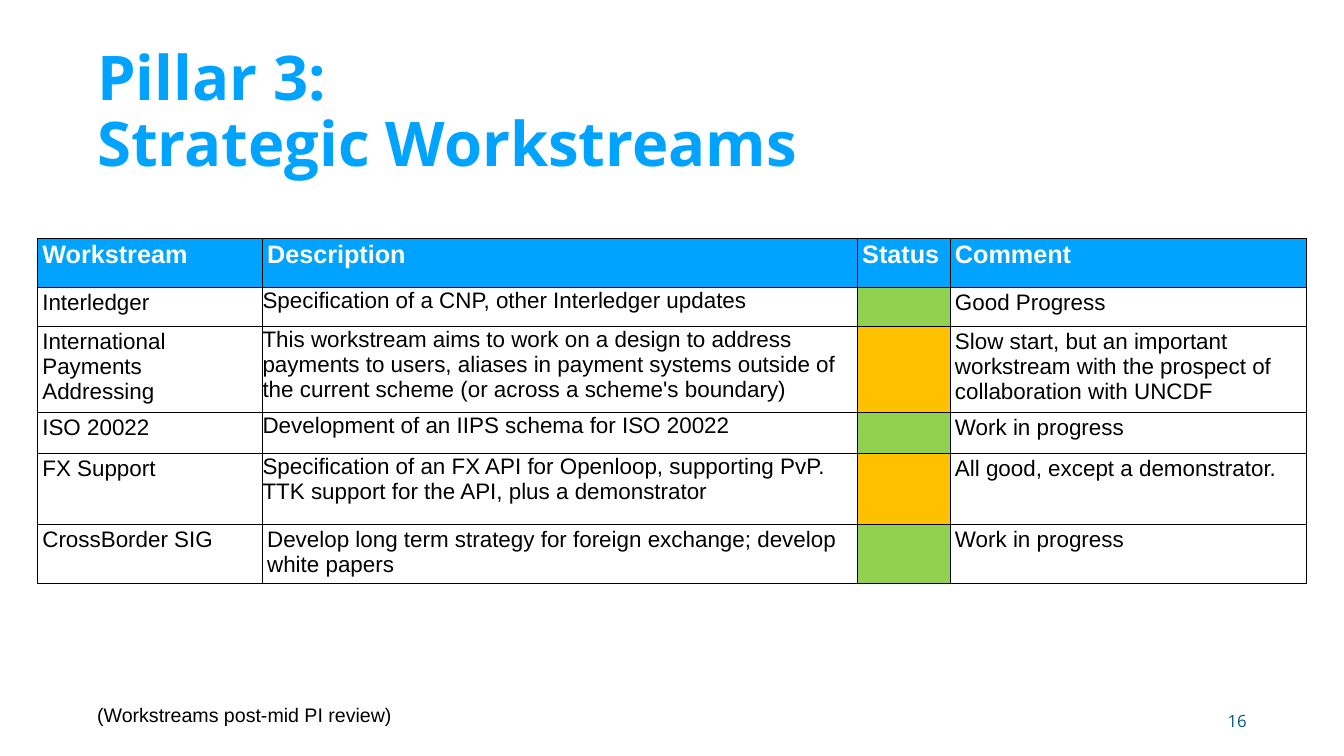
from pptx import Presentation
from pptx.dml.color import RGBColor
from pptx.enum.text import MSO_ANCHOR, PP_ALIGN
from pptx.oxml import parse_xml
from pptx.oxml.ns import nsdecls
from pptx.util import Inches, Pt

BLUE = RGBColor(0x00, 0xA3, 0xFF)
TEAL = RGBColor(0x00, 0x5A, 0x83)
GREEN = RGBColor(0x92, 0xD0, 0x50)
AMBER = RGBColor(0xFF, 0xC0, 0x00)
WHITE = RGBColor(0xFF, 0xFF, 0xFF)
BLACK = RGBColor(0x00, 0x00, 0x00)

# Content
TITLE = "Pillar 3:\vStrategic Workstreams"
FOOTNOTE = "(Workstreams post-mid PI review)"
PAGE = "16"
HEADER = ("Workstream", "Description", "Status", "Comment")
WORKSTREAMS = [
    ("Interledger", "Specification of a CNP, other Interledger updates",
     GREEN, "Good Progress"),
    ("International Payments Addressing",
     "This workstream aims to work on a design to address payments to users, "
     "aliases in payment systems outside of the current scheme "
     "(or across a scheme's boundary)",
     AMBER, "Slow start, but an important workstream with the prospect of "
     "collaboration with UNCDF"),
    ("ISO 20022", "Development of an IIPS schema for ISO 20022",
     GREEN, "Work in progress"),
    ("FX Support",
     "Specification of an FX API for Openloop, supporting PvP. "
     "TTK support for the API, plus a demonstrator",
     AMBER, "All good, except a demonstrator."),
    ("CrossBorder SIG",
     "Develop long term strategy for foreign exchange; develop white papers",
     GREEN, "Work in progress"),
]

# Layout, in inches
MARGIN, FOOTER_TOP = 1.83, 13.9
TABLE_LEFT, TABLE_TOP = 0.74, 4.73
COLS = (4.46, 11.81, 1.84, 7.08)
ROWS = (0.97, 0.78, 1.59, 0.82, 1.41, 0.97)
DESCRIPTION = 1
TIGHT_ROWS = range(1, 5)


def style(p, size, color, name="Arial", bold=False):
    f = p.font
    f.size, f.name, f.bold = Pt(size), name, bold
    f.color.rgb = color


def add_text(s, box, text, size, color, name, bold=False,
             anchor=MSO_ANCHOR.MIDDLE, wrap=True):
    tf = s.shapes.add_textbox(*map(Inches, box)).text_frame
    tf.word_wrap, tf.vertical_anchor = wrap, anchor
    p = tf.paragraphs[0]
    p.text = text
    style(p, size, color, name, bold)
    return p


def add_borders(cell):
    tcPr = cell._tc.get_or_add_tcPr()
    for i, side in enumerate(("lnL", "lnR", "lnT", "lnB")):
        tcPr.insert(i, parse_xml(
            f'<a:{side} {nsdecls("a")} w="12700"><a:solidFill>'
            f'<a:srgbClr val="{BLACK}"/></a:solidFill></a:{side}>'))


def fill_cell(cell, value, header):
    if header or isinstance(value, RGBColor):
        cell.fill.solid()
        cell.fill.fore_color.rgb = BLUE if header else value
    else:
        cell.fill.background()
    if isinstance(value, str):
        cell.text = value
        style(cell.text_frame.paragraphs[0], 36 if header else 32,
              WHITE if header else BLACK, bold=header)
    add_borders(cell)


def main():
    prs = Presentation()
    prs.slide_width, prs.slide_height = Inches(26.67), Inches(15)
    s = prs.slides.add_slide(prs.slide_layouts[6])

    # Title
    p = add_text(s, (MARGIN, 0.8, 20.64, 2.9), TITLE, 88, BLUE, "Open Sans", True)
    p.line_spacing = 0.9

    # Page number and footnote
    p = add_text(s, (18.84, FOOTER_TOP, 6, 0.8), PAGE, 24, TEAL, "Open Sans")
    p.alignment = PP_ALIGN.RIGHT
    add_text(s, (MARGIN, FOOTER_TOP, 6.1, 0.57), FOOTNOTE, 28, BLACK, "Arial",
             anchor=MSO_ANCHOR.TOP, wrap=False)

    # Workstream table
    box = (TABLE_LEFT, TABLE_TOP, sum(COLS), sum(ROWS))
    table = s.shapes.add_table(len(ROWS), len(COLS), *map(Inches, box)).table
    table.horz_banding = False
    for col, width in zip(table.columns, COLS):
        col.width = Inches(width)
    for row, height in zip(table.rows, ROWS):
        row.height = Inches(height)
    for r, values in enumerate([HEADER, *WORKSTREAMS]):
        for c, value in enumerate(values):
            fill_cell(table.cell(r, c), value, header=r == 0)

    # Most descriptions sit tight against the cell edge
    for r in TIGHT_ROWS:
        cell = table.cell(r, DESCRIPTION)
        cell.margin_left = cell.margin_right = cell.margin_top = Inches(0.01)
        cell.margin_bottom = 0

    prs.save("out.pptx")


if __name__ == "__main__":
    main()
